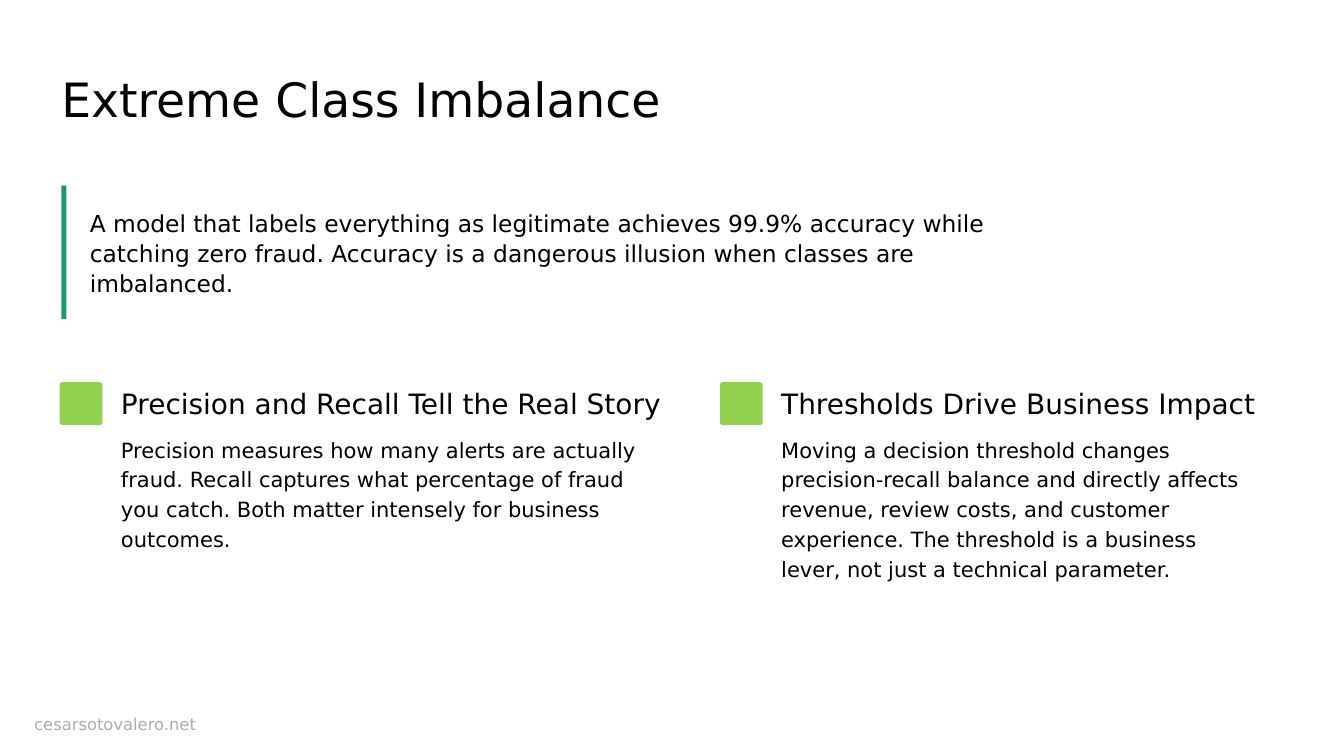
from dataclasses import dataclass

from pptx import Presentation
from pptx import util as u
from pptx.dml.color import RGBColor
from pptx.enum import shapes, text

PX = 9144  # EMU per px, 100 px to the inch
WIDTH, HEIGHT = 1600, 900
FONT = "DejaVu Sans"
WHITE = RGBColor(0xFF, 0xFF, 0xFF)
BLACK = RGBColor(0x00, 0x00, 0x00)
INK = RGBColor(0x03, 0x03, 0x03)
TEAL = RGBColor(0x1C, 0x97, 0x70)
GREEN = RGBColor(0x92, 0xD0, 0x50)
GREY = RGBColor(0xAF, 0xAB, 0xAB)


@dataclass(frozen=True)
class Box:
    x: int
    y: int
    w: int
    h: int

    def emu(self) -> list[int]:
        return [v * PX for v in (self.x, self.y, self.w, self.h)]


@dataclass(frozen=True)
class Style:
    size: float
    color: RGBColor = BLACK
    leading: float | None = None
    inset_x: int = 0
    inset_y: int = 0


@dataclass(frozen=True)
class Point:
    x: int
    heading: str
    heading_w: int
    body: str
    body_w: int
    body_h: int


TITLE = Style(40.5, INK, 50.5)
LEAD = Style(20, leading=25.5)
HEADING = Style(24, leading=30)
BODY = Style(18, leading=25.5)
FOOTER = Style(14, GREY, inset_x=10, inset_y=5)

POINTS = [
    Point(71, "Precision and Recall Tell the Real Story", 655,
          "Precision measures how many alerts are actually fraud. Recall captures "
          "what percentage of fraud you catch. Both matter intensely for business "
          "outcomes.", 638, 163),
    Point(857, "Thresholds Drive Business Impact", 580,
          "Moving a decision threshold changes precision-recall balance and directly "
          "affects revenue, review costs, and customer experience. The threshold is a "
          "business lever, not just a technical parameter.", 571, 202),
]


def add_text(s, box: Box, words: str, style: Style) -> None:
    tf = s.shapes.add_textbox(*box.emu()).text_frame
    frame_format = {
        "word_wrap": True,
        "vertical_anchor": text.MSO_ANCHOR.TOP,
        "margin_left": style.inset_x * PX,
        "margin_right": style.inset_x * PX,
        "margin_top": style.inset_y * PX,
        "margin_bottom": style.inset_y * PX,
    }
    for name, value in frame_format.items():
        setattr(tf, name, value)
    p = tf.paragraphs[0]
    if style.leading:
        p.line_spacing = u.Pt(style.leading)
    r = p.add_run()
    r.text = words
    r.font.color.rgb = style.color
    for name, value in {"name": FONT, "size": u.Pt(style.size)}.items():
        setattr(r.font, name, value)


def add_block(s, box: Box, kind: shapes.MSO_SHAPE, color: RGBColor):
    sp = s.shapes.add_shape(kind, *box.emu())
    sp.shadow.inherit = False
    sp.fill.solid()
    sp.fill.fore_color.rgb = color
    sp.line.fill.background()
    return sp


def add_point(s, point: Point) -> None:
    marker = add_block(s, Box(point.x, 455, 51, 51),
                       shapes.MSO_SHAPE.ROUNDED_RECTANGLE, GREEN)
    marker.adjustments[0] = 0.07
    text_x = point.x + 73
    add_text(s, Box(text_x, 459, point.heading_w, 42), point.heading, HEADING)
    add_text(s, Box(text_x, 515, point.body_w, point.body_h), point.body, BODY)


def main() -> None:
    prs = Presentation()
    prs.slide_width, prs.slide_height = WIDTH * PX, HEIGHT * PX
    s = prs.slides.add_slide(prs.slide_layouts[6])

    # White sheet over a black background
    s.background.fill.solid()
    s.background.fill.fore_color.rgb = BLACK
    add_block(s, Box(0, 0, WIDTH, HEIGHT), shapes.MSO_SHAPE.RECTANGLE, WHITE)

    # Title
    add_text(s, Box(73, 81, 1473, 141), "Extreme Class Imbalance", TITLE)

    # Lead statement with its accent bar
    add_text(s, Box(107, 247, 1134, 108),
             "A model that labels everything as legitimate achieves 99.9% accuracy "
             "while catching zero fraud. Accuracy is a dangerous illusion when classes "
             "are imbalanced.", LEAD)
    add_block(s, Box(73, 221, 6, 159), shapes.MSO_SHAPE.RECTANGLE, TEAL)

    # Two points side by side
    for point in POINTS:
        add_point(s, point)

    # Footer
    add_text(s, Box(31, 845, 800, 34), "cesarsotovalero.net", FOOTER)

    prs.save("out.pptx")


if __name__ == "__main__":
    main()
